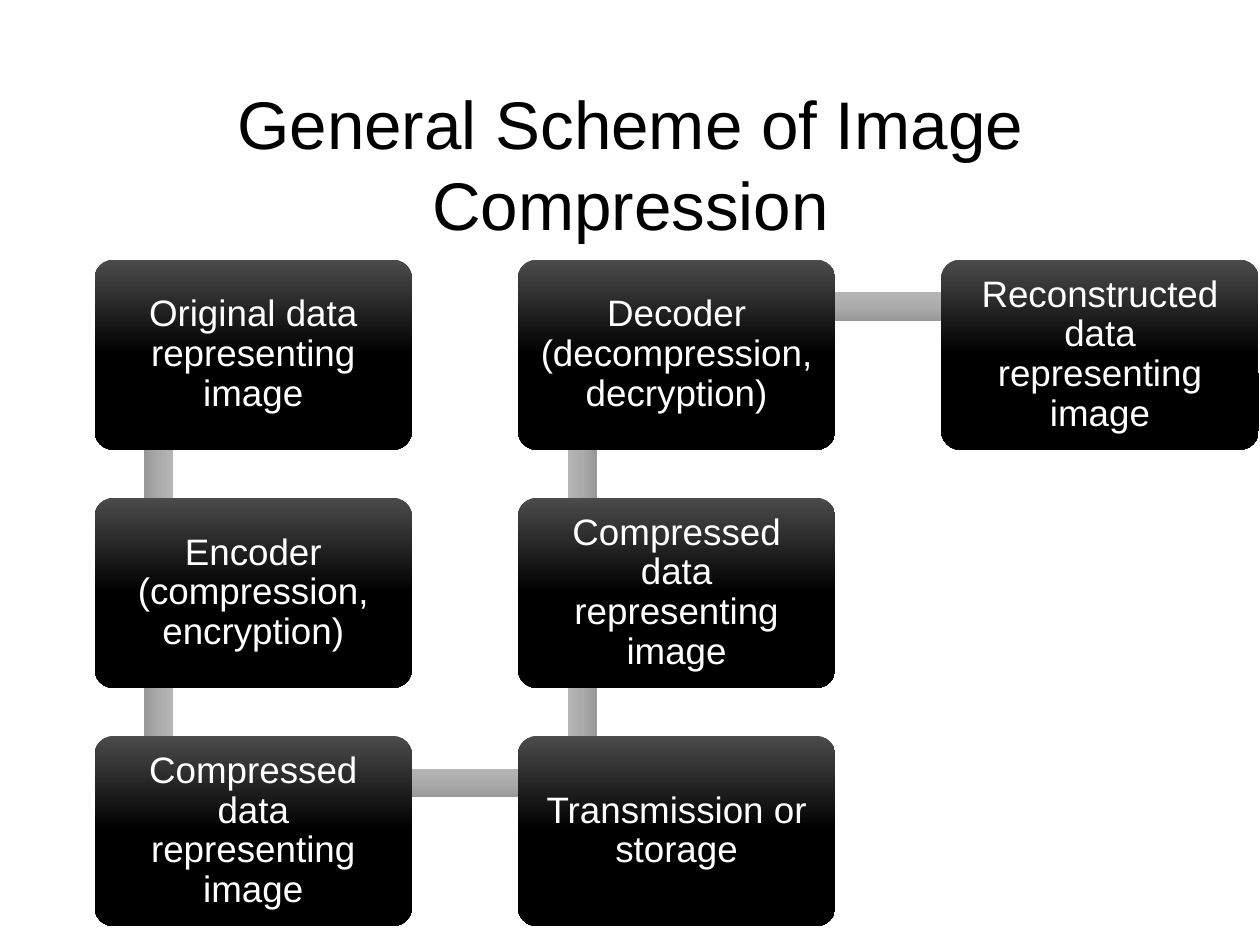
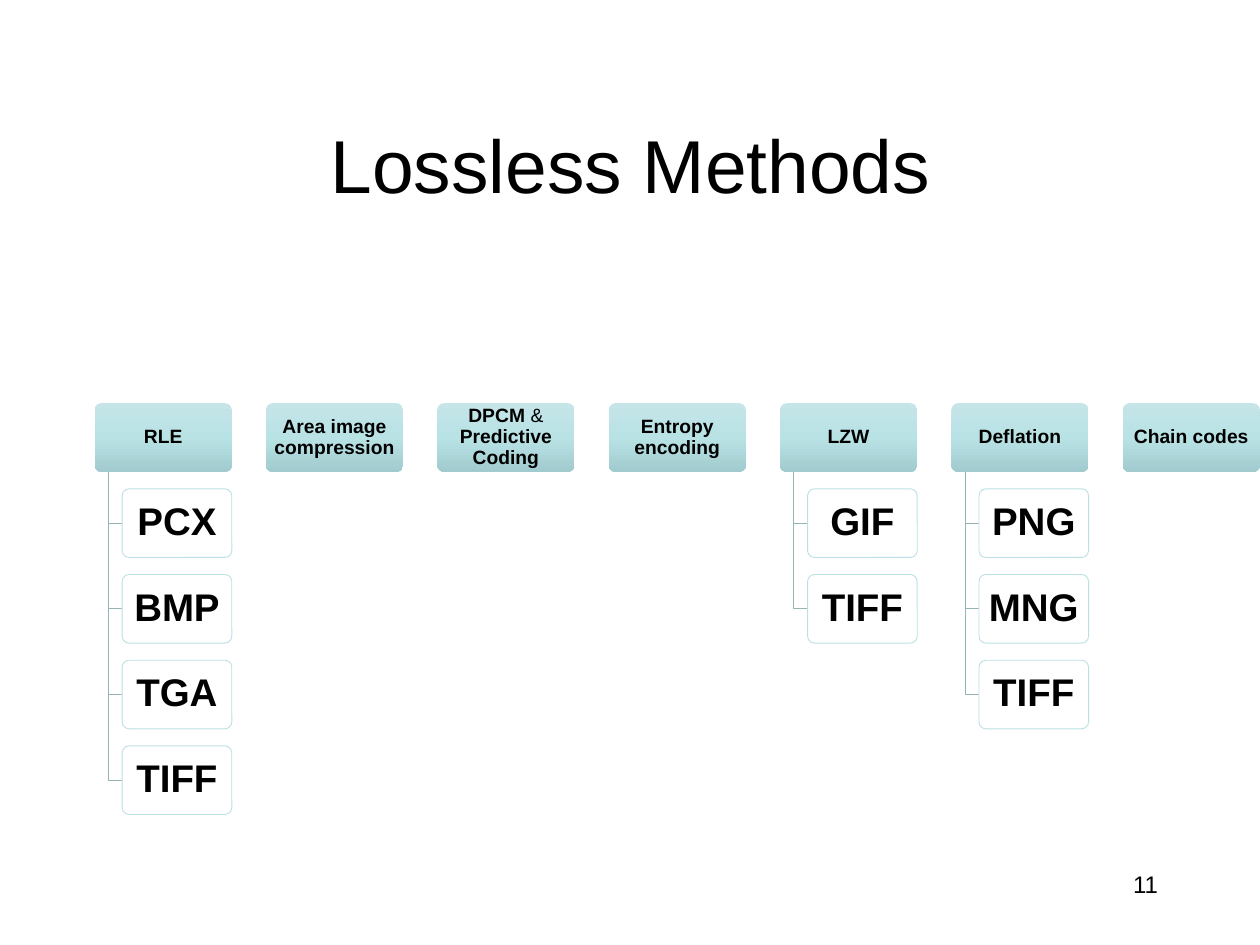
from copy import deepcopy
from dataclasses import dataclass
from itertools import pairwise

from pptx import Presentation
from pptx.dml.color import RGBColor
from pptx.enum.shapes import MSO_SHAPE
from pptx.enum.text import MSO_ANCHOR, PP_ALIGN
from pptx.oxml.ns import qn
from pptx.presentation import Presentation as Deck
from pptx.shapes.autoshape import Shape
from pptx.slide import Slide
from pptx.util import Inches, Pt

FONT = "Arial"
COLORS = {"text": "000000", "light_text": "FFFFFF", "leaf": "FFFFFF",
          "leaf_line": "BBE0E3", "elbow": "96B3B6"}
GRADIENTS = {"stage": ("4B4B4B", "000000", "000000"),
             "bridge": ("B5B5B5", "ABABAB", "989898"),
             "method": ("C5E5E8", "B9E2E5", "A1CBCE")}


@dataclass(frozen=True)
class TextStyle:
    size: float
    color: str = "text"
    bold: bool = False
    align: PP_ALIGN = PP_ALIGN.CENTER
    anchor: MSO_ANCHOR = MSO_ANCHOR.MIDDLE
    side_inset: float = 0.06
    end_inset: float = 0.06
    line_spacing: float = 1.0
    wrap: bool = True


@dataclass(frozen=True)
class Stage:
    text: str
    column: int
    row: int

    @property
    def left(self) -> float:
        return 0.75 + self.column * 3.36

    @property
    def top(self) -> float:
        return 2.06 + self.row * 1.89


@dataclass(frozen=True)
class Method:
    name: str
    formats: tuple[str, ...] = ()
    plain_part: str = ""


STAGE_STYLE = TextStyle(21, "light_text", side_inset=0.09, end_inset=0.09, line_spacing=0.9)
METHOD_STYLE = TextStyle(11, bold=True, side_inset=0.02, end_inset=0.02, line_spacing=0.9)
FORMAT_STYLE = TextStyle(22, bold=True, side_inset=0.05, end_inset=0.03, line_spacing=0.9)
NUMBER_STYLE = TextStyle(13.7, align=PP_ALIGN.RIGHT, anchor=MSO_ANCHOR.TOP, wrap=False)

STAGE_WIDTH, STAGE_HEIGHT = 2.52, 1.51
BRIDGE_X, BRIDGE_Y, BRIDGE_THICKNESS = 0.51, 0.375, 0.23
STAGES = (
    Stage("Original data representing image", 0, 0),
    Stage("Encoder (compression, encryption)", 0, 1),
    Stage("Compressed data representing image", 0, 2),
    Stage("Transmission or storage", 1, 2),
    Stage("Compressed data representing image", 1, 1),
    Stage("Decoder (decompression, decryption)", 1, 0),
    Stage("Reconstructed data representing image", 2, 0),
)

METHOD_LEFT, METHOD_TOP, METHOD_STEP = 0.75, 3.2, 1.36
METHOD_WIDTH, METHOD_HEIGHT = 1.09, 0.545
FORMAT_STEP, FORMAT_INDENT, ELBOW_INDENT = 0.68, 0.22, 0.11
METHODS = (
    Method("RLE", ("PCX", "BMP", "TGA", "TIFF")),
    Method("Area image compression"),
    Method("DPCM & Predictive Coding", plain_part=" & "),
    Method("Entropy encoding"),
    Method("LZW", ("GIF", "TIFF")),
    Method("Deflation", ("PNG", "MNG", "TIFF")),
    Method("Chain codes"),
)


def color(name: str) -> RGBColor:
    return RGBColor.from_string(COLORS[name])


def write(box: Shape, text: str, style: TextStyle, plain_part: str = "") -> None:
    frame = box.text_frame
    frame.word_wrap = style.wrap
    frame.vertical_anchor = style.anchor
    frame.margin_left = frame.margin_right = Inches(style.side_inset)
    frame.margin_top = frame.margin_bottom = Inches(style.end_inset)
    para = frame.paragraphs[0]
    para.alignment = style.align
    para.line_spacing = style.line_spacing
    parts = text.partition(plain_part) if plain_part else (text,)
    for part in parts:
        span = para.add_run()
        span.text = part
        span.font.name = FONT
        span.font.size = Pt(style.size)
        span.font.bold = style.bold and part != plain_part
        span.font.color.rgb = color(style.color)


def add_text(page: Slide, text: str, left: float, top: float, width: float,
             height: float, style: TextStyle) -> None:
    box = page.shapes.add_textbox(Inches(left), Inches(top), Inches(width), Inches(height))
    write(box, text, style)


def add_title(page: Slide, text: str, size: float) -> None:
    add_text(page, text, 0.75, 0.67, 8.51, 1.25, TextStyle(size))


def add_box(page: Slide, kind: MSO_SHAPE, left: float, top: float,
            width: float, height: float) -> Shape:
    box = page.shapes.add_shape(kind, Inches(left), Inches(top), Inches(width), Inches(height))
    box.shadow.inherit = False
    box.line.fill.background()
    if kind == MSO_SHAPE.ROUNDED_RECTANGLE:
        box.adjustments[0] = 0.1
    return box


def fill_gradient(box: Shape, name: str) -> None:
    box.fill.gradient()
    box.fill.gradient_angle = 270
    stop_list = box.fill._xPr.find(".//" + qn("a:gsLst"))
    stop_list.append(deepcopy(stop_list[-1]))
    for stop, position, value in zip(box.fill.gradient_stops, (0, 0.5, 1), GRADIENTS[name]):
        stop.position = position
        stop.color.rgb = RGBColor.from_string(value)


def add_bridge(page: Slide, start: Stage, end: Stage) -> None:
    across, down = end.left - start.left, end.top - start.top
    length = abs(across) + abs(down)
    center_x = start.left + BRIDGE_X + across / 2
    center_y = start.top + BRIDGE_Y + down / 2
    bridge = add_box(page, MSO_SHAPE.RECTANGLE, center_x - length / 2,
                     center_y - BRIDGE_THICKNESS / 2, length, BRIDGE_THICKNESS)
    fill_gradient(bridge, "bridge")
    if start.row != end.row:
        bridge.rotation = 90 if down > 0 else 270


def add_stage(page: Slide, stage: Stage) -> None:
    box = add_box(page, MSO_SHAPE.ROUNDED_RECTANGLE, stage.left, stage.top,
                  STAGE_WIDTH, STAGE_HEIGHT)
    fill_gradient(box, "stage")
    write(box, stage.text, STAGE_STYLE)


def add_elbow(page: Slide, left: float, top: float, right: float, bottom: float) -> None:
    builder = page.shapes.build_freeform(Inches(left), Inches(top))
    builder.add_line_segments(
        [(Inches(left), Inches(bottom)), (Inches(right), Inches(bottom))], close=False)
    elbow = builder.convert_to_shape()
    elbow.shadow.inherit = False
    elbow.fill.background()
    elbow.line.color.rgb = color("elbow")
    elbow.line.width = Pt(0.5)


def add_format(page: Slide, text: str, left: float, top: float) -> None:
    box = add_box(page, MSO_SHAPE.ROUNDED_RECTANGLE, left, top,
                  METHOD_WIDTH - FORMAT_INDENT, METHOD_HEIGHT)
    box.fill.solid()
    box.fill.fore_color.rgb = color("leaf")
    box.line.color.rgb = color("leaf_line")
    box.line.width = Pt(0.5)
    write(box, text, FORMAT_STYLE)


def add_method(page: Slide, method: Method, left: float) -> None:
    box = add_box(page, MSO_SHAPE.ROUNDED_RECTANGLE, left, METHOD_TOP,
                  METHOD_WIDTH, METHOD_HEIGHT)
    fill_gradient(box, "method")
    write(box, method.name, METHOD_STYLE, method.plain_part)
    for row, text in enumerate(method.formats, start=1):
        top = METHOD_TOP + row * FORMAT_STEP
        add_elbow(page, left + ELBOW_INDENT, METHOD_TOP + METHOD_HEIGHT,
                  left + FORMAT_INDENT, top + METHOD_HEIGHT / 2)
        add_format(page, text, left + FORMAT_INDENT, top)


def add_page(deck: Deck) -> Slide:
    return deck.slides.add_slide(deck.slide_layouts[6])


def build_scheme(deck: Deck) -> None:
    page = add_page(deck)
    add_title(page, "General Scheme of Image Compression", 38.5)
    for start, end in pairwise(STAGES):
        add_bridge(page, start, end)
    for stage in STAGES:
        add_stage(page, stage)


def build_methods(deck: Deck) -> None:
    page = add_page(deck)
    add_title(page, "Lossless Methods", 42.8)
    for column, method in enumerate(METHODS):
        add_method(page, method, METHOD_LEFT + column * METHOD_STEP)
    add_text(page, "11", 8.93, 6.84, 0.32, 0.32, NUMBER_STYLE)


def main() -> None:
    deck = Presentation()
    deck.slide_width, deck.slide_height = Inches(10), Inches(7.5)
    build_scheme(deck)
    build_methods(deck)
    deck.save("out.pptx")


if __name__ == "__main__":
    main()
